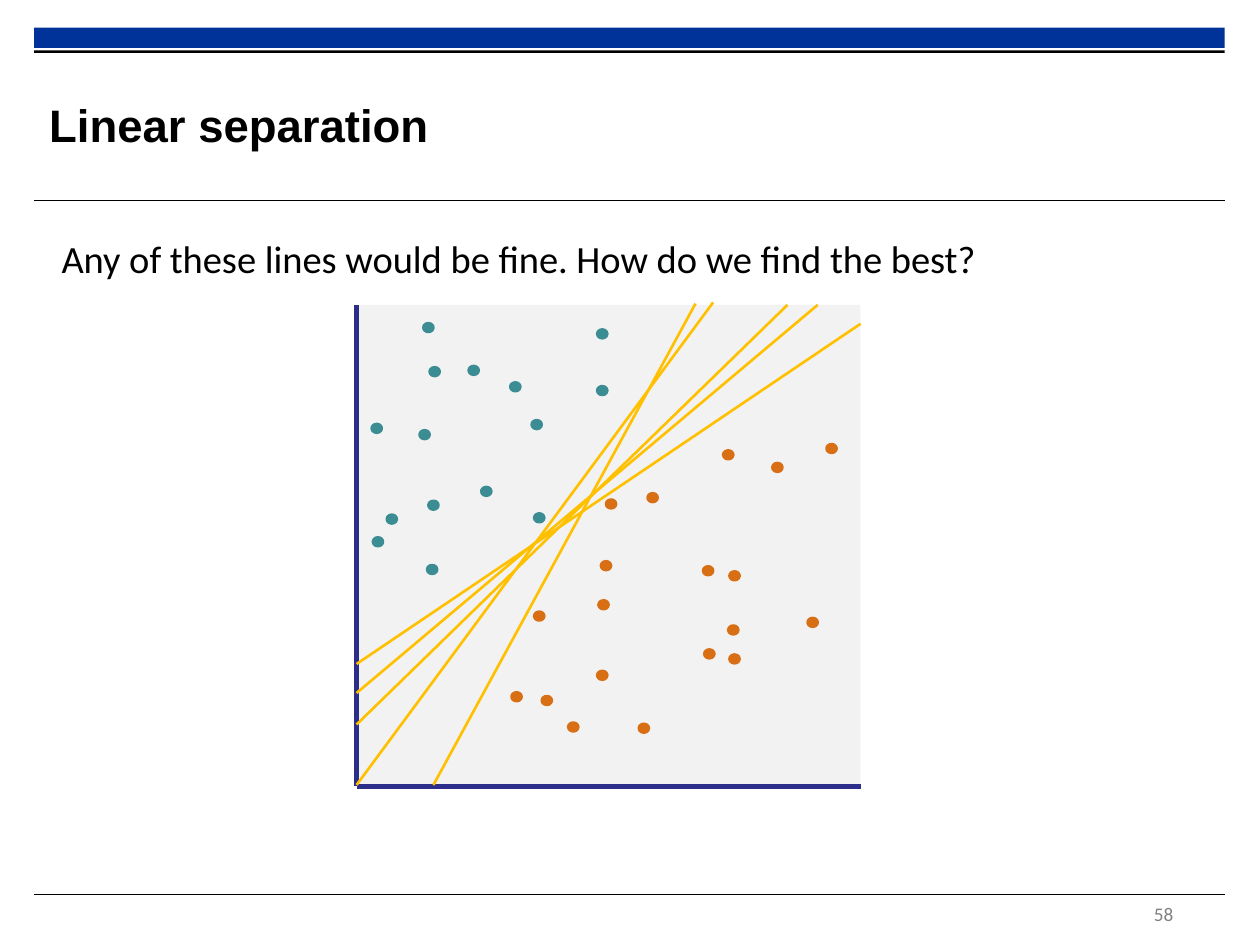
from dataclasses import dataclass

from lxml import etree
from pptx import Presentation
from pptx.dml.color import RGBColor
from pptx.enum.shapes import MSO_CONNECTOR, MSO_SHAPE
from pptx.enum.text import MSO_ANCHOR, MSO_AUTO_SIZE, PP_ALIGN
from pptx.oxml.ns import qn
from pptx.util import Inches, Pt

RECT, OVAL = MSO_SHAPE.RECTANGLE, MSO_SHAPE.OVAL
STRAIGHT = MSO_CONNECTOR.STRAIGHT
LEFT, MIDDLE = PP_ALIGN.LEFT, MSO_ANCHOR.MIDDLE
NO_FIT = MSO_AUTO_SIZE.NONE


@dataclass(frozen=True)
class Theme:
    band: str = "003399"
    ink: str = "000000"
    muted: str = "808080"
    plot: str = "F2F2F2"
    axis: str = "2D2D8A"
    teal: str = "3C8C93"
    orange: str = "D86F15"
    separator: str = "FFC000"
    heading_font: str = "Arial"
    body_font: str = "Calibri"
    title_size: int = 26
    body_size: int = 22
    number_size: int = 11


THEME = Theme()
DOT_W, DOT_H = 0.07, 0.06

# Dot centres, in slide inches
TEAL_DOTS = [
    (3.4, 2.6), (4.78, 2.65), (3.45, 2.95), (3.76, 2.94), (4.09, 3.07),
    (4.78, 3.1), (4.26, 3.37), (2.99, 3.4), (3.37, 3.45), (3.86, 3.9),
    (3.44, 4.01), (3.11, 4.12), (4.28, 4.11), (3.0, 4.3), (3.43, 4.52),
]
ORANGE_DOTS = [
    (6.6, 3.56), (5.78, 3.61), (6.17, 3.71), (5.18, 3.95), (4.85, 4.0),
    (4.81, 4.49), (5.62, 4.53), (5.83, 4.57), (4.79, 4.8), (4.28, 4.89),
    (6.45, 4.94), (5.82, 5.0), (5.63, 5.19), (5.83, 5.23), (4.78, 5.36),
    (4.1, 5.53), (4.34, 5.56), (4.55, 5.77), (5.11, 5.78),
]
# Separating lines: x1, y1, x2, y2
SEPARATORS = [
    (2.83, 5.75, 6.25, 2.42), (2.83, 5.27, 6.83, 2.57),
    (3.44, 6.23, 5.52, 2.41), (2.83, 6.23, 5.66, 2.4),
    (2.83, 5.5, 6.49, 2.42),
]


def add_shape(s, kind, box, color, outline=None):
    sp = s.shapes.add_shape(kind, *map(Inches, box))
    sp.shadow.inherit = False
    sp.fill.solid()
    sp.fill.fore_color.rgb = RGBColor.from_string(color)
    if outline:
        sp.line.color.rgb = RGBColor.from_string(color)
        sp.line.width = Pt(outline)
    else:
        sp.line.fill.background()


def add_line(s, ends, color, width):
    line = s.shapes.add_connector(STRAIGHT, *map(Inches, ends))
    line.line.color.rgb = RGBColor.from_string(color)
    line.line.width = Pt(width)
    etree.SubElement(line._element.spPr, qn("a:effectLst"))


def style(p, font, size, color, bold=False):
    p.alignment = LEFT
    p.font.name = font
    p.font.size = Pt(size)
    p.font.bold = bold
    p.font.color.rgb = RGBColor.from_string(color)


def add_text(s, box, text, size, color):
    tf = s.shapes.add_textbox(*map(Inches, box)).text_frame
    tf.word_wrap = True
    p = tf.paragraphs[0]
    p.text = text
    style(p, THEME.body_font, size, color)


def add_frame(s, left, top, width, number):
    right = left + width
    # Top band with a thin rule below
    add_shape(s, RECT, (left, top, width, 0.16), THEME.band)
    add_shape(s, RECT, (left, top + 0.18, width, 0.02), THEME.ink)
    # Rules under the title and above the footer
    for y in (1.59, 7.1):
        add_line(s, (left, y, right, y), THEME.ink, 0.6)
    add_text(s, (9.06, 7.11, 0.55, 0.31), number, THEME.number_size, THEME.muted)


def set_title(s, box, text):
    title = s.shapes.title
    title.left, title.top, title.width, title.height = map(Inches, box)
    tf = title.text_frame
    tf.text = text
    tf.auto_size = NO_FIT
    tf.vertical_anchor = MIDDLE
    tf.margin_left = tf.margin_right = tf.margin_top = tf.margin_bottom = 0
    style(tf.paragraphs[0], THEME.heading_font, THEME.title_size, THEME.ink, True)


def add_scatter(s, left, top, width, height):
    right, bottom = left + width, top + height
    add_shape(s, RECT, (left, top, width, height), THEME.plot)
    # Axes
    add_line(s, (left, top, left, bottom), THEME.axis, 3)
    add_line(s, (left, bottom, right, bottom), THEME.axis, 3)
    # The two classes
    for dots, color in ((TEAL_DOTS, THEME.teal), (ORANGE_DOTS, THEME.orange)):
        for x, y in dots:
            box = (x - DOT_W / 2, y - DOT_H / 2, DOT_W, DOT_H)
            add_shape(s, OVAL, box, color, 2.25)
    # Candidate separating lines
    for ends in SEPARATORS:
        add_line(s, ends, THEME.separator, 1.5)


def main():
    prs = Presentation()
    prs.slide_width, prs.slide_height = Inches(10), Inches(7.5)
    s = prs.slides.add_slide(prs.slide_layouts[5])
    add_frame(s, 0.27, 0.22, 9.45, "58")
    set_title(s, (0.39, 0.53, 7.11, 0.92), "Linear separation")
    add_text(s, (0.39, 1.82, 9.33, 0.47),
             "Any of these lines would be fine. How do we find the best?",
             THEME.body_size, THEME.ink)
    add_scatter(s, 2.83, 2.42, 4, 3.82)
    prs.save("out.pptx")


if __name__ == "__main__":
    main()
